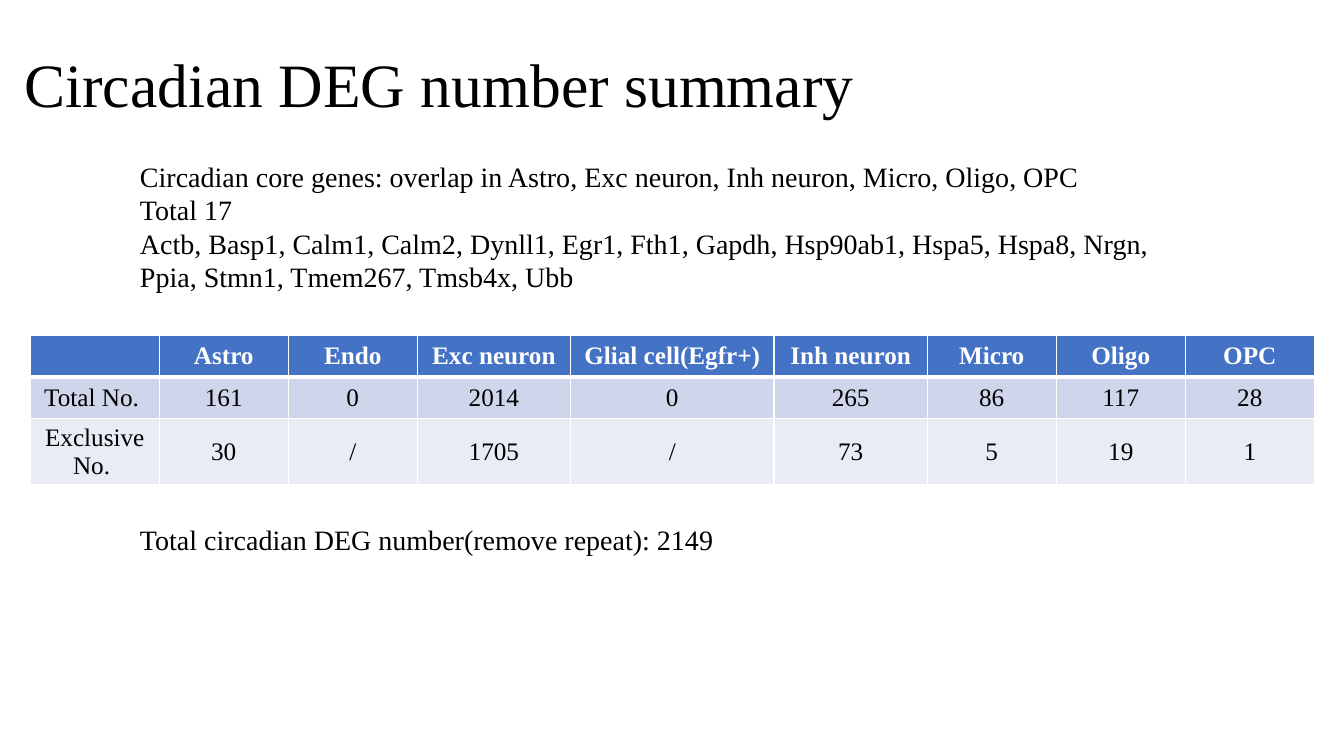
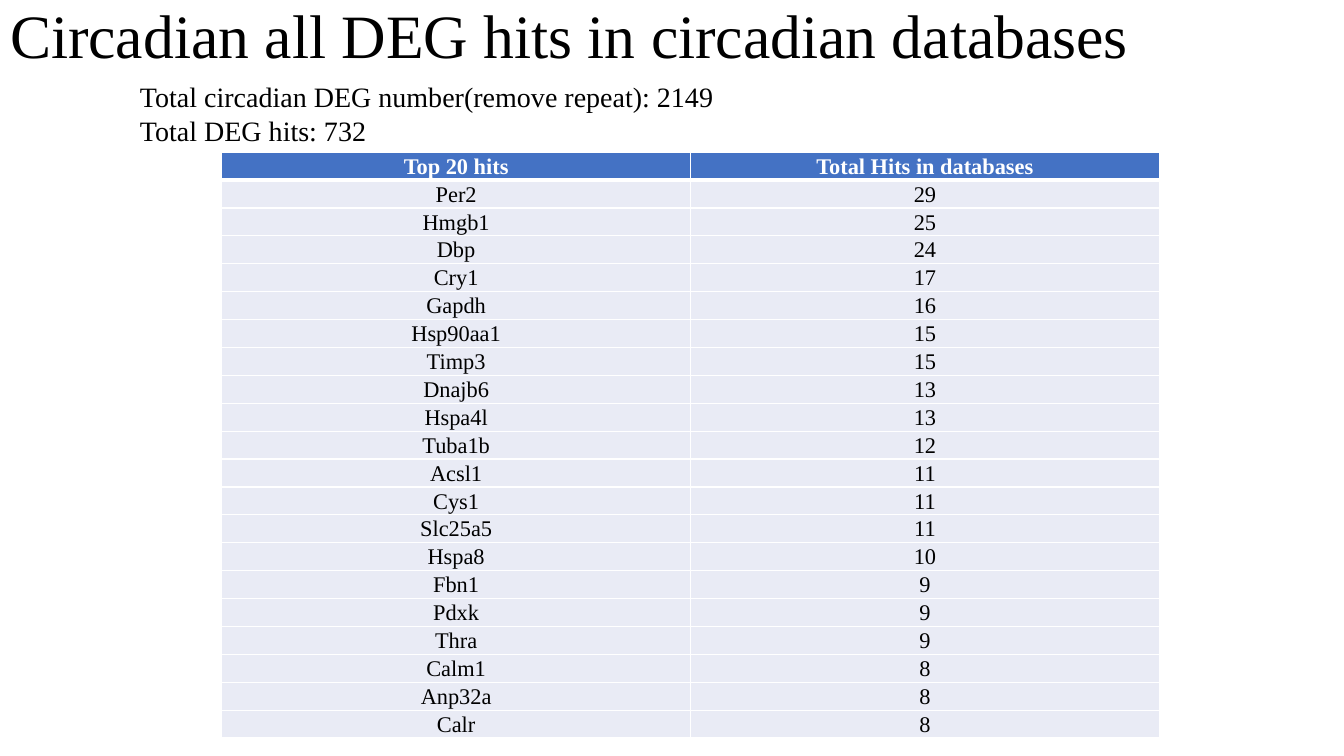
from lxml import etree
from pptx import Presentation
from pptx import util as u
from pptx.dml.color import RGBColor
from pptx.enum import text as t
from pptx.oxml import ns

# Shared style
FONT = "Times New Roman"
BLACK, WHITE = "000000", "FFFFFF"
HEADER_FILL, BAND_FILL, PLAIN_FILL = "4472C4", "CFD5EA", "E9EBF5"
SLIDE_WIDTH, SLIDE_HEIGHT = u.Inches(13.333), u.Inches(7.5)

# Shared columns, in percent of the slide width
TITLE_WIDTH = 86.25
NOTE_LEFT, NOTE_WIDTH = 9.68, 80.7

DEG_TOTAL = "Total circadian DEG number(remove repeat): 2149"
CORE_GENES = [
    "Circadian core genes: overlap in Astro, Exc neuron, Inh neuron, Micro, Oligo, OPC",
    "Total 17",
    "Actb, Basp1, Calm1, Calm2, Dynll1, Egr1, Fth1, Gapdh, Hsp90ab1, Hspa5, Hspa8, "
    "Nrgn, Ppia, Stmn1, Tmem267, Tmsb4x, Ubb",
]
CELL_TYPES = [
    ["", "Astro", "Endo", "Exc neuron", "Glial cell(Egfr+)", "Inh neuron", "Micro", "Oligo", "OPC"],
    ["Total No. ", 161, 0, 2014, 0, 265, 86, 117, 28],
    ["Exclusive No. ", 30, "/", 1705, "/", 73, 5, 19, 1],
]
TOP_HITS = [
    ("Top 20 hits", "Total Hits in databases"),
    ("Per2", 29), ("Hmgb1", 25), ("Dbp", 24), ("Cry1", 17), ("Gapdh", 16),
    ("Hsp90aa1", 15), ("Timp3", 15), ("Dnajb6", 13), ("Hspa4l", 13), ("Tuba1b", 12),
    ("Acsl1", 11), ("Cys1", 11), ("Slc25a5", 11), ("Hspa8", 10), ("Fbn1", 9),
    ("Pdxk", 9), ("Thra", 9), ("Calm1", 8), ("Anp32a", 8), ("Calr", 8),
]


def color(value):
    return RGBColor.from_string(value)


def across(percent):
    return round(SLIDE_WIDTH * percent / 100)


def down(percent):
    return round(SLIDE_HEIGHT * percent / 100)


def write(frame, lines, size=20, fill=BLACK, bold=False, align=t.PP_ALIGN.LEFT, spacing=None):
    """Fill a text frame with one paragraph per line."""
    frame.word_wrap = True
    for index, line in enumerate(lines):
        paragraph = frame.paragraphs[0] if index == 0 else frame.add_paragraph()
        paragraph.alignment = align
        paragraph.line_spacing = spacing
        run = paragraph.add_run()
        run.text = str(line)
        run.font.name, run.font.size, run.font.bold = FONT, u.Pt(size), bold
        run.font.color.rgb = color(fill)


def add_slide(presentation, title, left, top, height):
    """Add a slide with its title placeholder moved and formatted."""
    slide = presentation.slides.add_slide(presentation.slide_layouts[5])
    shape = slide.shapes.title
    shape.left, shape.top = across(left), down(top)
    shape.width, shape.height = across(TITLE_WIDTH), down(height)
    frame = shape.text_frame
    frame.vertical_anchor = t.MSO_ANCHOR.MIDDLE
    write(frame, [title], size=44, spacing=0.9)
    frame.auto_size = t.MSO_AUTO_SIZE.NONE
    return slide


def add_note(slide, lines, top, height):
    shape = slide.shapes.add_textbox(across(NOTE_LEFT), down(top), across(NOTE_WIDTH), down(height))
    write(shape.text_frame, lines)
    shape.text_frame.auto_size = t.MSO_AUTO_SIZE.SHAPE_TO_FIT_TEXT


def set_borders(cell, top, bottom):
    """Draw white cell borders; widths are in points."""
    properties = cell._tc.get_or_add_tcPr()
    for side, width in (("L", 1), ("R", 1), ("T", top), ("B", bottom)):
        line = etree.SubElement(properties, ns.qn(f"a:ln{side}"), w=str(u.Pt(width)))
        fill = etree.SubElement(line, ns.qn("a:solidFill"))
        etree.SubElement(fill, ns.qn("a:srgbClr"), val=WHITE)


def add_table(slide, rows, left, top, widths, heights, fills, size, margins=None):
    """Add a table with a header row; fills repeat over the body rows."""
    table = slide.shapes.add_table(
        len(rows), len(widths), across(left), down(top),
        across(sum(widths)), down(sum(heights))).table
    table.horz_banding = False
    for column, width in zip(table.columns, widths):
        column.width = across(width)
    for index, (row, values, height) in enumerate(zip(table.rows, rows, heights)):
        row.height = down(height)
        header = index == 0
        for cell, value in zip(row.cells, values):
            set_borders(cell, top=3 if index == 1 else 1, bottom=3 if header else 1)
            cell.fill.solid()
            cell.fill.fore_color.rgb = color(HEADER_FILL if header else fills[(index - 1) % len(fills)])
            cell.vertical_anchor = t.MSO_ANCHOR.MIDDLE
            if margins:
                (cell.margin_left, cell.margin_top,
                 cell.margin_right, cell.margin_bottom) = map(u.Inches, margins)
            write(cell.text_frame, [value], size=size, bold=header,
                  fill=WHITE if header else BLACK, align=t.PP_ALIGN.CENTER)


def main():
    presentation = Presentation()
    presentation.slide_width, presentation.slide_height = SLIDE_WIDTH, SLIDE_HEIGHT

    # Number summary by cell type
    summary = add_slide(presentation, "Circadian DEG number summary", 1.05, 1.87, 19.33)
    narrow, medium, wide = 9.6, 11.4, 15.15
    add_table(summary, CELL_TYPES, 2.25, 44.4,
              widths=[narrow] * 3 + [medium, wide, medium] + [narrow] * 3,
              heights=[5.47, 5.47, 8.8], fills=[BAND_FILL, PLAIN_FILL], size=18)
    add_note(summary, CORE_GENES, 20.4, 19.33)
    add_note(summary, [DEG_TOTAL], 68.4, 5.87)

    # Top hits in databases
    hits = add_slide(presentation, "Circadian all DEG hits in circadian databases", 0, 0, 10.27)
    add_note(hits, [DEG_TOTAL, "Total DEG hits: 732"], 9.87, 10.27)
    add_table(hits, TOP_HITS, 16.5, 20.13, widths=[34.88] * 2,
              heights=[77.6 / len(TOP_HITS)] * len(TOP_HITS), fills=[PLAIN_FILL],
              size=16, margins=(0.01, 0.01, 0.01, 0))

    presentation.save("out.pptx")


if __name__ == "__main__":
    main()
